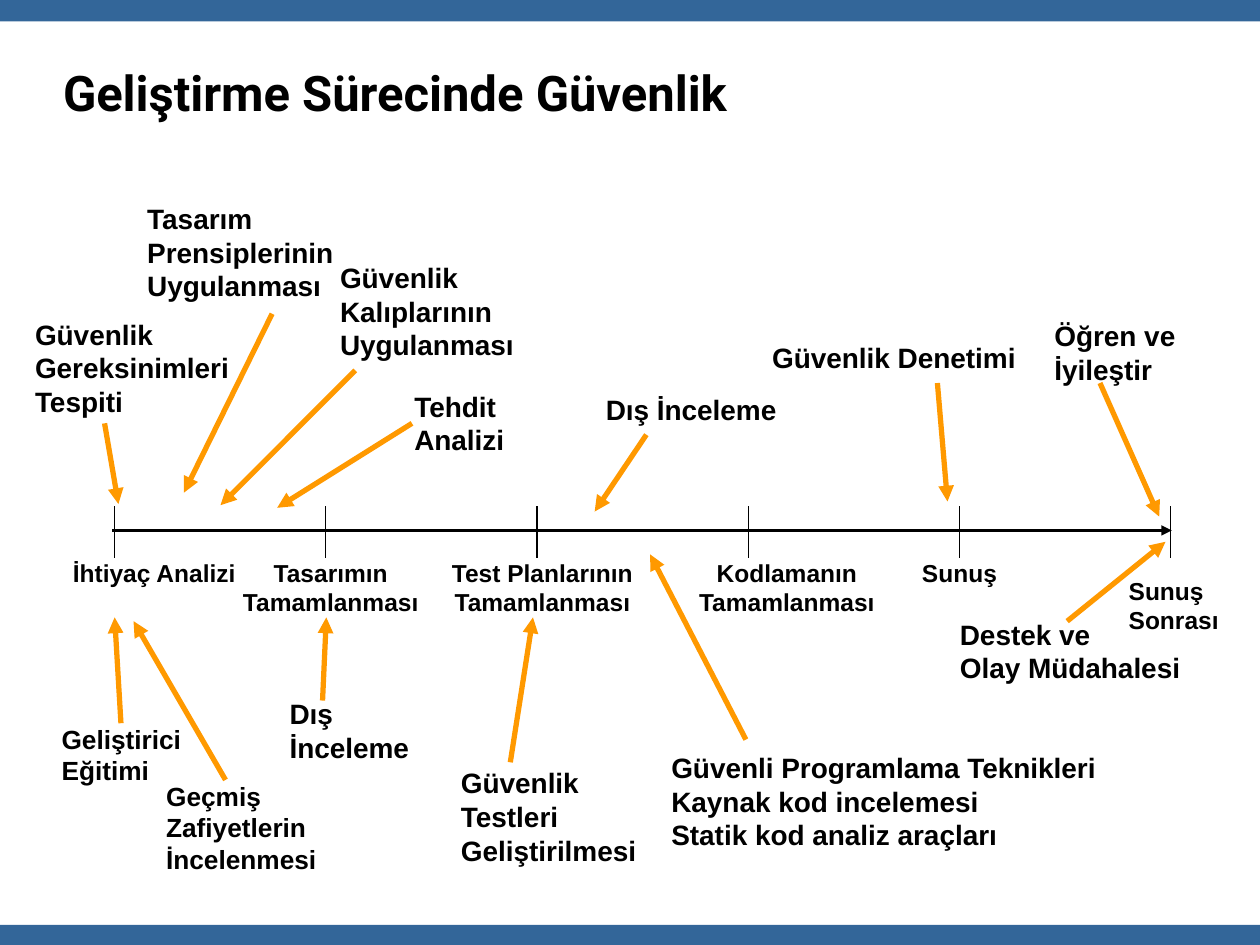
"""Build the slide on security along the software development timeline."""
import copy
from dataclasses import dataclass

import pptx
import pptx.dml.color
import pptx.enum.shapes
import pptx.enum.text
import pptx.oxml
import pptx.oxml.ns
import pptx.util
from pptx.util import Inches

RGBColor = pptx.dml.color.RGBColor
Align = pptx.enum.text.PP_ALIGN
BLACK = RGBColor(0x00, 0x00, 0x00)
BLUE = RGBColor(0x33, 0x66, 0x99)
ORANGE = RGBColor(0xFF, 0x99, 0x00)

AXIS_Y = 4.21
AXIS_START, AXIS_END = 0.91, 9.29
TICK_TOP, TICK_BOTTOM = 4.02, 4.43
STAGE_TOP = 4.38


@dataclass
class Stage:
    text: str
    left: float
    width: float
    height: float = 0.57
    top: float = STAGE_TOP
    align: Align = Align.CENTER


@dataclass
class Activity:
    text: str
    box: tuple[float, float, float, float]
    start: tuple[float, float]
    end: tuple[float, float]
    size: int = 16
    wrap: bool = False


STAGES = [
    Stage("İhtiyaç Analizi", 0.48, 1.5, 0.34, align=Align.LEFT),
    Stage("Tasarımın\vTamamlanması", 1.82, 1.61),
    Stage("Test Planlarının\vTamamlanması", 3.48, 1.65),
    Stage("Kodlamanın\vTamamlanması", 5.44, 1.61),
    Stage("Sunuş", 7.19, 0.85, 0.34),
    Stage("Sunuş\vSonrası", 8.86, 0.96, top=4.52, align=Align.LEFT),
]

ACTIVITIES = [
    Activity("Güvenlik\vGereksinimleri\vTespiti",
             (0.18, 2.47, 1.74, 0.9), (0.83, 3.36), (0.94, 4.0)),
    Activity("Tasarım\vPrensiplerinin\vUygulanması",
             (1.07, 1.55, 1.68, 0.9), (2.16, 2.49), (1.46, 3.91)),
    Activity("Güvenlik\vKalıplarının\vUygulanması",
             (2.6, 2.02, 1.58, 0.9), (2.82, 2.94), (1.75, 4.01)),
    Activity("Tehdit\vAnalizi",
             (3.19, 3.04, 0.96, 0.64), (3.27, 3.36), (2.2, 4.03)),
    Activity("Dış İnceleme",
             (4.71, 3.07, 1.6, 0.37), (5.13, 3.45), (4.72, 4.06)),
    Activity("Güvenlik Denetimi",
             (6.03, 2.65, 2.18, 0.37), (7.44, 3.04), (7.52, 3.98)),
    Activity("Öğren ve\vİyileştir",
             (8.27, 2.48, 1.16, 0.64), (8.73, 3.04), (9.2, 4.1)),
    Activity("Geliştirici\vEğitimi",
             (0.39, 5.69, 1.15, 0.6), (0.96, 5.74), (0.91, 4.9), size=15),
    Activity("Geçmiş\vZafiyetlerin\vİncelenmesi",
             (1.22, 6.14, 1.39, 0.85), (1.79, 6.19), (1.06, 4.93), size=15),
    Activity("Dış\vİnceleme",
             (2.2, 5.48, 1.15, 0.64), (2.56, 5.56), (2.59, 4.9)),
    Activity("Güvenlik\vTestleri\vGeliştirilmesi",
             (3.56, 6.03, 1.59, 0.9), (4.05, 6.05), (4.23, 4.9)),
    Activity("Güvenli Programlama Teknikleri\vKaynak kod incelemesi\nStatik kod analiz araçları",
             (5.23, 5.91, 3.87, 0.9), (5.92, 5.87), (5.16, 4.4), wrap=True),
    Activity("Destek ve\vOlay Müdahalesi",
             (7.52, 4.85, 1.97, 0.64), (8.47, 4.93), (9.25, 4.3), wrap=True),
]


def write_text(frame, text: str, *, size: int, font: str = "Arial",
               align: Align = Align.LEFT) -> None:
    """Fill a text frame with bold black text; line breaks share its format."""
    frame.text = text
    for para in frame.paragraphs:
        para.alignment = align
        for span in para.runs:
            span.font.name = font
            span.font.size = pptx.util.Pt(size)
            span.font.bold = True
            span.font.color.rgb = BLACK
        for line_break in para._p.findall(pptx.oxml.ns.qn("a:br")):
            line_break.append(copy.deepcopy(para.runs[0].font._element))


def add_label(page, text: str, place: tuple[float, float, float, float], *,
              size: int, align: Align = Align.LEFT, wrap: bool = False) -> None:
    """Add a text box that fits its text."""
    box = page.shapes.add_textbox(*map(Inches, place))
    frame = box.text_frame
    frame.word_wrap = wrap
    frame.auto_size = pptx.enum.text.MSO_AUTO_SIZE.SHAPE_TO_FIT_TEXT
    write_text(frame, text, size=size, align=align)


def add_line(page, start: tuple[float, float], end: tuple[float, float], *,
             color: RGBColor, width: float, arrow: bool = False) -> None:
    """Add a straight line, with an arrowhead at its end if asked."""
    line = page.shapes.add_connector(
        pptx.enum.shapes.MSO_CONNECTOR.STRAIGHT, *map(Inches, (*start, *end)))
    line.line.color.rgb = color
    line.line.width = pptx.util.Pt(width)
    if arrow:
        head = pptx.oxml.parse_xml(
            f'<a:tailEnd {pptx.oxml.ns.nsdecls("a")} type="triangle"/>')
        line.line._get_or_add_ln().append(head)
    line._element.spPr.append(
        pptx.oxml.parse_xml(f'<a:effectLst {pptx.oxml.ns.nsdecls("a")}/>'))


def add_bar(page, top: float) -> None:
    """Add a blue bar across the page."""
    bar = page.shapes.add_shape(
        pptx.enum.shapes.MSO_SHAPE.RECTANGLE, 0, Inches(top), Inches(10), Inches(0.17))
    bar.shadow.inherit = False
    bar.fill.solid()
    bar.fill.fore_color.rgb = BLUE
    bar.line.fill.background()


def format_title(title) -> None:
    """Place the title and write its text."""
    title.left, title.top, title.width, title.height = map(Inches, (0.5, 0.3, 9, 0.86))
    frame = title.text_frame
    frame.margin_left = frame.margin_right = frame.margin_top = frame.margin_bottom = 0
    frame.vertical_anchor = pptx.enum.text.MSO_ANCHOR.MIDDLE
    write_text(frame, "Geliştirme Sürecinde Güvenlik", size=28, font="Roboto")


def main() -> None:
    """Build and save the deck."""
    deck = pptx.Presentation()
    deck.slide_width, deck.slide_height = Inches(10), Inches(7.5)
    page = deck.slides.add_slide(deck.slide_layouts.get_by_name("Title Only"))
    format_title(page.shapes.title)
    for top in (0, 7.34):
        add_bar(page, top)

    add_line(page, (0.89, AXIS_Y), (9.3, AXIS_Y), color=BLACK, width=1.75, arrow=True)
    step = (AXIS_END - AXIS_START) / (len(STAGES) - 1)
    for index, stage in enumerate(STAGES):
        x = AXIS_START + index * step
        add_line(page, (x, TICK_TOP), (x, TICK_BOTTOM), color=BLACK, width=0.75)
        add_label(page, stage.text, (stage.left, stage.top, stage.width, stage.height),
                  size=14, align=stage.align)

    for activity in ACTIVITIES:
        add_line(page, activity.start, activity.end, color=ORANGE, width=3, arrow=True)
        add_label(page, activity.text, activity.box, size=activity.size, wrap=activity.wrap)

    deck.save("out.pptx")


if __name__ == "__main__":
    main()
